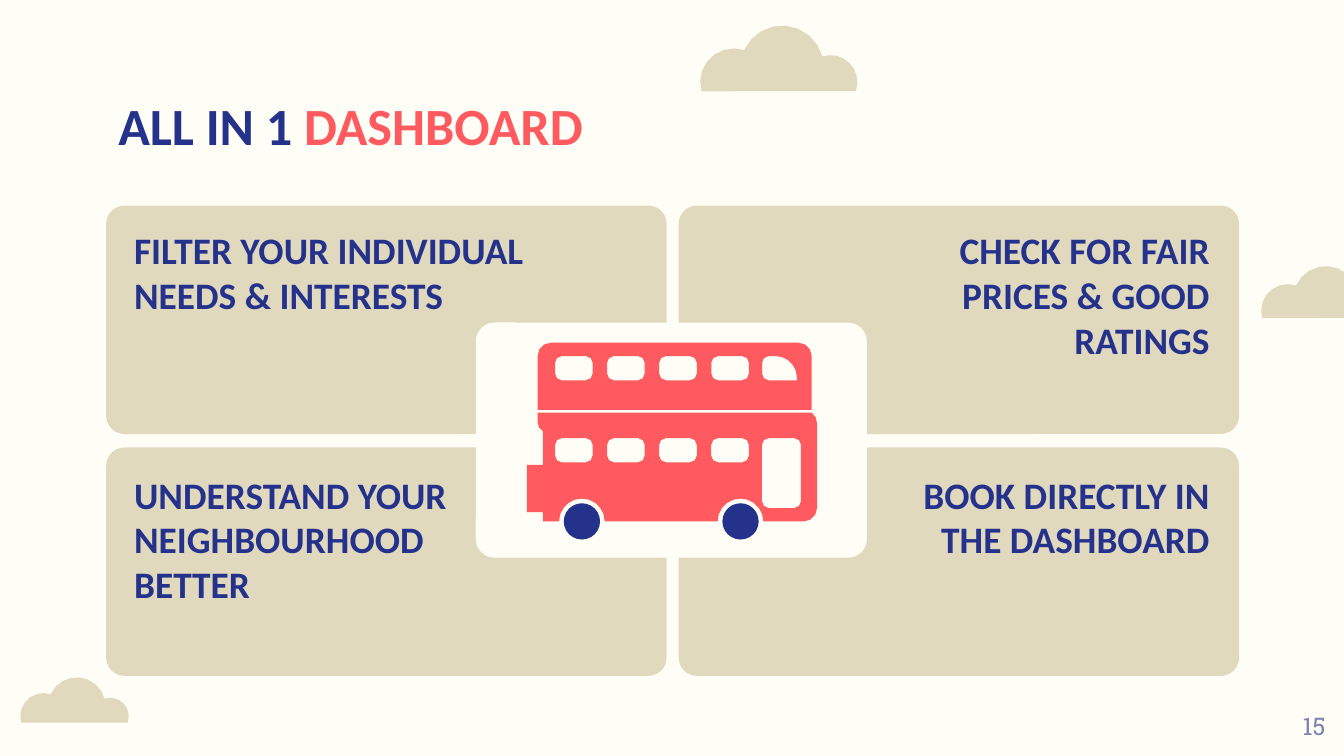
from math import ceil, cos, radians, sin

from pptx import Presentation
from pptx.dml.color import RGBColor
from pptx.enum.shapes import MSO_SHAPE
from pptx.enum.text import MSO_ANCHOR, MSO_AUTO_SIZE, PP_ALIGN
from pptx.util import Emu, Pt

PX = 9144  # EMU per px, 100 px to the inch
NAVY, CORAL, SAND, CREAM, GREY = "25328C", "FF5A5F", "E1D9BE", "FFFEF6", "7D83B0"


def px(value):
    return Emu(round(value * PX))


def color(hex_string):
    return RGBColor.from_string(hex_string)


def arc(center_x, center_y, radius, start, end):
    """Points on a circle; angles in degrees, clockwise from the right."""
    if radius == 0:
        return [(center_x, center_y)]
    step = 45 if radius <= 5 else 30 if radius <= 10 else 18
    count = ceil(abs(end - start) / step)
    angles = [radians(start + (end - start) * i / count) for i in range(count + 1)]
    return [(center_x + radius * cos(a), center_y + radius * sin(a)) for a in angles]


def rounded(left, top, width, height, radii):
    """Rectangle outline with radii from top left, clockwise."""
    right, bottom = left + width, top + height
    a, b, c, d = radii
    return (arc(left + a, top + a, a, 180, 270) + arc(right - b, top + b, b, 270, 360)
            + arc(right - c, bottom - c, c, 0, 90) + arc(left + d, bottom - d, d, 90, 180))


class SlideBuilder:
    font = "Calibri"

    def __init__(self, presentation):
        self.slide = presentation.slides.add_slide(presentation.slide_layouts[5])
        self.shapes = self.slide.shapes
        self.slide.background.fill.solid()
        self.slide.background.fill.fore_color.rgb = color(CREAM)

    def paint(self, shape, fill):
        shape.shadow.inherit = False
        shape.fill.solid()
        shape.fill.fore_color.rgb = color(fill)
        shape.line.fill.background()
        return shape

    def card(self, left, top, width, height, fill):
        shape = self.shapes.add_shape(
            MSO_SHAPE.ROUNDED_RECTANGLE, px(left), px(top), px(width), px(height))
        shape.adjustments[0] = 0.08
        return self.paint(shape, fill)

    def circle(self, center_x, center_y, diameter, fill):
        radius = diameter / 2
        shape = self.shapes.add_shape(
            MSO_SHAPE.OVAL, px(center_x - radius), px(center_y - radius),
            px(diameter), px(diameter))
        return self.paint(shape, fill)

    def outline(self, contours, fill):
        """One freeform; contours inside the first one become holes."""
        contours = [[(px(x), px(y)) for x, y in points] for points in contours]
        builder = self.shapes.build_freeform(*contours[0][0])
        for index, points in enumerate(contours):
            if index:
                builder.move_to(*points[0])
            builder.add_line_segments(points[1:], close=True)
        return self.paint(builder.convert_to_shape(), fill)

    def cloud(self, left, top, scale):
        points = (arc(28, 42, 25, 164, 288) + arc(64, 31, 31, 205, 345)
                  + arc(100, 42, 20, 252, 380))
        self.outline([[(left + x * scale, top + y * scale) for x, y in points]], SAND)

    def frame(self, shape):
        text_frame = shape.text_frame
        text_frame.word_wrap = True
        text_frame.auto_size = MSO_AUTO_SIZE.NONE
        text_frame.vertical_anchor = MSO_ANCHOR.TOP
        text_frame.margin_left = text_frame.margin_right = px(10)
        text_frame.margin_top = text_frame.margin_bottom = px(10)
        return text_frame.paragraphs[0]

    def title(self, left, top, width, height, parts):
        shape = self.shapes.title
        shape.left, shape.top, shape.width, shape.height = map(px, (left, top, width, height))
        paragraph = self.frame(shape)
        paragraph.alignment = PP_ALIGN.LEFT
        paragraph.font.name, paragraph.font.size, paragraph.font.bold = self.font, Pt(28), True
        for text, hex_string in parts:
            run = paragraph.add_run()
            run.text = text
            run.font.color.rgb = color(hex_string)

    def text(self, left, top, width, height, text, align=PP_ALIGN.LEFT,
             size=20, font=None, bold=True, fill=NAVY):
        shape = self.shapes.add_textbox(px(left), px(top), px(width), px(height))
        paragraph = self.frame(shape)
        paragraph.text = text
        paragraph.alignment = align
        paragraph.font.name = font or self.font
        paragraph.font.size = Pt(size)
        paragraph.font.bold = bold
        paragraph.font.color.rgb = color(fill)

    def bus(self):
        def windows(top, count):
            return [rounded(413 + 38.75 * i, top, 28, 18, (5, 5, 5, 5)) for i in range(count)]

        wheels, axle = (433, 551), 388
        front_window = rounded(567, 265, 26, 18, (5, 16, 0, 5))
        door = rounded(567, 326, 29, 52, (5, 5, 5, 5))

        upper_deck = self.outline(
            [rounded(400, 255, 204, 50, (10, 10, 0, 0)), *windows(265, 4), front_window], CORAL)

        lower_body = [(400, 307), *arc(408, 314, 8, 180, 120), (404, 346)]
        lower_body += [(392, 346), (392, 381), (404, 381), (404, axle)]
        for wheel in wheels:
            lower_body += arc(wheel, axle, 17, 180, 360)
        lower_body += arc(598, 378, 10, 90, 0) + arc(598, 315, 10, 0, -53)
        lower_deck = self.outline([lower_body, *windows(326, 4), door], CORAL)

        tyres = [self.circle(wheel, axle, 27, NAVY) for wheel in wheels]
        self.shapes.add_group_shape([upper_deck, lower_deck, *tyres])


def main():
    presentation = Presentation()
    presentation.slide_width = px(1000)
    presentation.slide_height = Emu(presentation.slide_width * 9 // 16)
    builder = SlideBuilder(presentation)

    # Clouds
    for left, top, scale in ((518, 19, 1), (936, 198, 0.79), (13, 504, 0.69)):
        builder.cloud(left, top, scale)

    # Four cards with the centre panel
    for left in (79, 505):
        for top in (153, 333):
            builder.card(left, top, 417, 170, SAND)
    builder.card(354, 240, 291, 175, CREAM)

    # Title and bus
    builder.title(78, 59, 844, 63, [("ALL IN 1 ", NAVY), ("DASHBOARD", CORAL)])
    builder.bus()

    # Card texts
    right = PP_ALIGN.RIGHT
    builder.text(90, 159, 330, 159, "FILTER YOUR INDIVIDUAL NEEDS & INTERESTS")
    builder.text(90, 341, 276, 106, "UNDERSTAND YOUR NEIGHBOURHOOD BETTER")
    builder.text(647, 341, 263, 140, "BOOK DIRECTLY IN THE DASHBOARD", right)
    builder.text(619, 159, 291, 126, "CHECK FOR FAIR PRICES & GOOD RATINGS", right)

    # Slide number
    builder.text(936, 519, 60, 43, "15", right, 13, "Roboto Slab", False, GREY)

    presentation.save("out.pptx")


if __name__ == "__main__":
    main()
